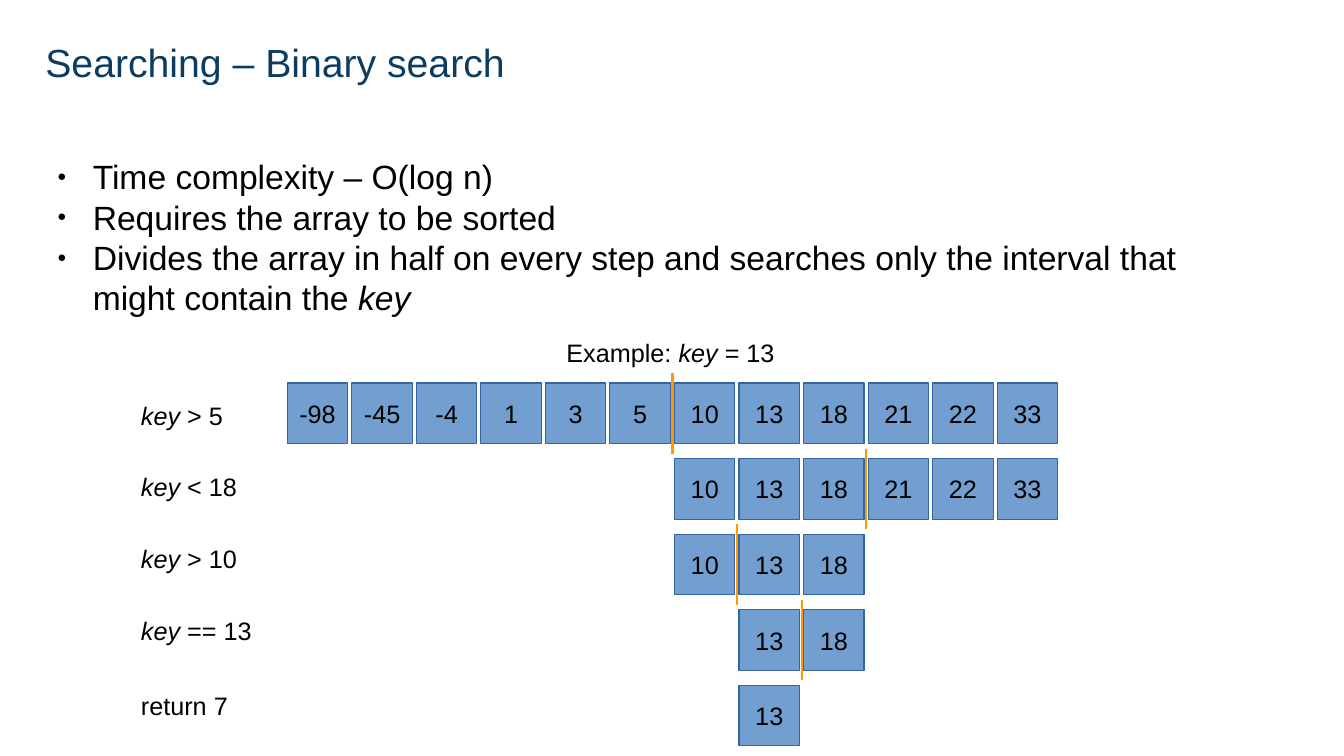
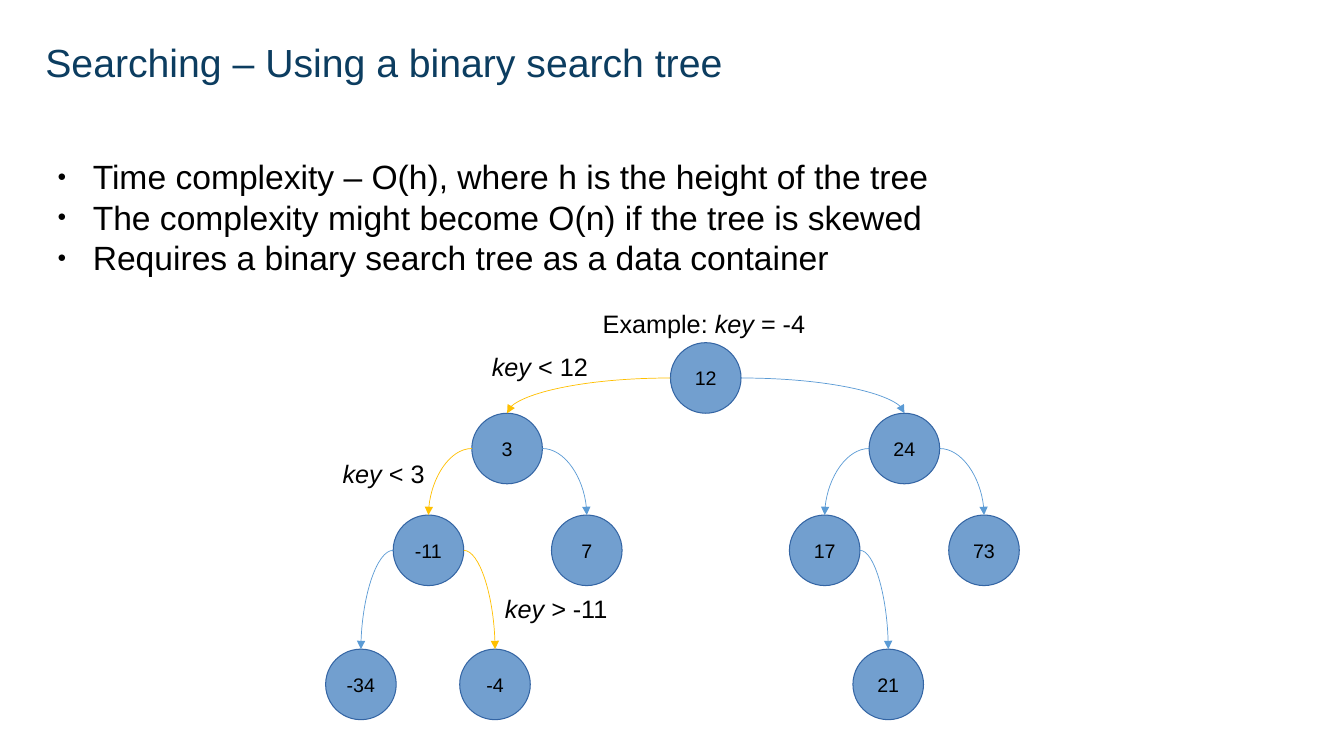
from lxml import etree
from pptx import Presentation
from pptx import util as u
from pptx.dml import color
from pptx.enum import shapes, text
from pptx.oxml import ns

PX = 9144
FONT = "Arial"
INK = "000000"
TITLE_INK = "0C3D60"
FILL = "729FCF"
EDGE = "3465A4"
DIVIDER = "FF9900"
FOUND = "FFC000"
BRANCH = "5B9BD5"
LEFT = text.PP_ALIGN.LEFT
CENTER = text.PP_ALIGN.CENTER


def rgb(value):
    return color.RGBColor.from_string(value)


def px(*lengths):
    return [u.Emu(length * PX) for length in lengths]


def add_child(parent, tag, **attributes):
    return etree.SubElement(parent, ns.qn(tag), attributes)


class Deck:
    def __init__(self):
        self.presentation = Presentation()
        self.presentation.slide_width, self.presentation.slide_height = px(1333, 750)
        self.slide = None

    def add_runs(self, paragraph, marked, size, ink=INK, align=LEFT):
        paragraph.alignment = align
        for index, part in enumerate(marked.split("*")):
            if part:
                run = paragraph.add_run()
                run.text = part
                run.font.name = FONT
                run.font.size = u.Pt(size)
                run.font.italic = index % 2 == 1
                run.font.color.rgb = rgb(ink)

    def place(self, placeholder, box, anchor):
        placeholder.left, placeholder.top, placeholder.width, placeholder.height = px(*box)
        frame = placeholder.text_frame
        frame.word_wrap = True
        frame.auto_size = text.MSO_AUTO_SIZE.NONE
        frame.vertical_anchor = anchor
        frame.margin_left, frame.margin_top, frame.margin_right, frame.margin_bottom = px(5, 5, 5, 5)
        return frame

    def new_slide(self, title, points):
        self.slide = self.presentation.slides.add_slide(self.presentation.slide_layouts[1])
        heading = self.place(self.slide.shapes.title, (40, 20, 1103, 88), text.MSO_ANCHOR.MIDDLE)
        heading.paragraphs[0].line_spacing = 0.9
        self.add_runs(heading.paragraphs[0], title, 28, TITLE_INK)
        body = self.place(self.slide.placeholders[1], (40, 150, 1201, 525), text.MSO_ANCHOR.TOP)
        for index, point in enumerate(points):
            paragraph = body.add_paragraph() if index else body.paragraphs[0]
            paragraph.space_before = u.Pt(0)
            self.bullet(paragraph)
            self.add_runs(paragraph, point, 24)

    def bullet(self, paragraph):
        properties = paragraph._p.get_or_add_pPr()
        properties.set("marL", str(47 * PX))
        properties.set("indent", str(-35 * PX))
        add_child(add_child(properties, "a:buClr"), "a:srgbClr", val=INK)
        add_child(properties, "a:buSzPct", val="45000")
        add_child(properties, "a:buFont", typeface=FONT)
        add_child(properties, "a:buChar", char="●")

    def label(self, marked, left, top, width):
        frame = self.slide.shapes.add_textbox(*px(left, top, width, 38)).text_frame
        frame.word_wrap = True
        self.add_runs(frame.paragraphs[0], marked, 18)

    def item(self, kind, value, left, top, side, size):
        shape = self.slide.shapes.add_shape(kind, *px(left, top, side, side))
        shape.shadow.inherit = False
        shape.fill.solid()
        shape.fill.fore_color.rgb = rgb(FILL)
        shape.line.color.rgb = rgb(EDGE)
        shape.line.width = u.Pt(0.75)
        shape.text_frame.vertical_anchor = text.MSO_ANCHOR.MIDDLE
        self.add_runs(shape.text_frame.paragraphs[0], str(value), size, align=CENTER)

    def line(self, kind, start, end, ink, width):
        connector = self.slide.shapes.add_connector(kind, *px(*start, *end))
        connector.line.color.rgb = rgb(ink)
        connector.line.width = u.Pt(width)
        add_child(connector.element.spPr, "a:effectLst")
        return connector

    def curved_arrow(self, start, end, ink):
        connector = self.line(shapes.MSO_CONNECTOR.CURVE, start, end, ink, 0.5)
        properties = connector.element.spPr
        properties.find(ns.qn("a:prstGeom")).set("prst", "curvedConnector2")
        add_child(properties.find(ns.qn("a:ln")), "a:tailEnd", type="triangle")


def binary_search(deck):
    deck.new_slide("Searching – Binary search", [
        "Time complexity – O(log n)",
        "Requires the array to be sorted",
        "Divides the array in half on every step and searches only the interval "
        "that might contain the *key*",
    ])
    values = [-98, -45, -4, 1, 3, 5, 10, 13, 18, 21, 22, 33]
    steps = [
        ("*key* > 5", 392, 0, 12, 6),
        ("*key *< 18", 463, 6, 12, 9),
        ("*key* > 10", 534, 6, 9, 7),
        ("*key* == 13", 605, 7, 9, 8),
        ("return 7", 680, 7, 8, None),
    ]
    first_left, pitch, first_top, row_pitch = 285, 64, 380, 75
    for row, (outcome, label_top, first, last, split) in enumerate(steps):
        top = first_top + row * row_pitch
        for column in range(first, last):
            deck.item(shapes.MSO_SHAPE.RECTANGLE, values[column],
                      first_left + column * pitch, top, 60, 18)
        if split is not None:
            x = first_left + split * pitch - 2
            deck.line(shapes.MSO_CONNECTOR.STRAIGHT, (x, top - 10), (x, top + 70), DIVIDER, 1.5)
        deck.label(outcome, 130, label_top, 130)
    deck.label("Example: *key *= 13", 552, 330, 230)


def search_tree(deck):
    deck.new_slide("Searching – Using a binary search tree", [
        "Time complexity – O(h), where h is the height of the tree",
        "The complexity might become O(n) if the tree is skewed",
        "Requires a binary search tree as a data container",
    ])
    tops = [340, 410, 511, 644]
    nodes = {
        12: (700, 0), 3: (503, 1), 24: (897, 1),
        -11: (425, 2), 7: (582, 2), 17: (818, 2), 73: (976, 2),
        -34: (358, 3), -4: (491, 3), 21: (881, 3),
    }
    children = {12: (3, 24), 3: (-11, 7), 24: (17, 73), -11: (-34, -4), 17: (21,)}
    found_path = [12, 3, -11, -4]
    radius = 35
    for value, (center, level) in nodes.items():
        deck.item(shapes.MSO_SHAPE.OVAL, value, center - radius, tops[level], 2 * radius, 14)
    for parent, branches in children.items():
        center, level = nodes[parent]
        for child in branches:
            child_center, child_level = nodes[child]
            side = radius if child > parent else -radius
            ink = FOUND if parent in found_path and child in found_path else BRANCH
            deck.curved_arrow((center + side, tops[level] + radius),
                              (child_center, tops[child_level]), ink)
    for marked, left, top, width in [
        ("Example: *key *= -4", 588, 301, 230),
        ("*key *< 12", 478, 344, 120),
        ("*key *< 3", 330, 450, 108),
        ("*key >* -11", 491, 584, 130),
    ]:
        deck.label(marked, left, top, width)


def main():
    deck = Deck()
    binary_search(deck)
    search_tree(deck)
    deck.presentation.save("out.pptx")


if __name__ == "__main__":
    main()
